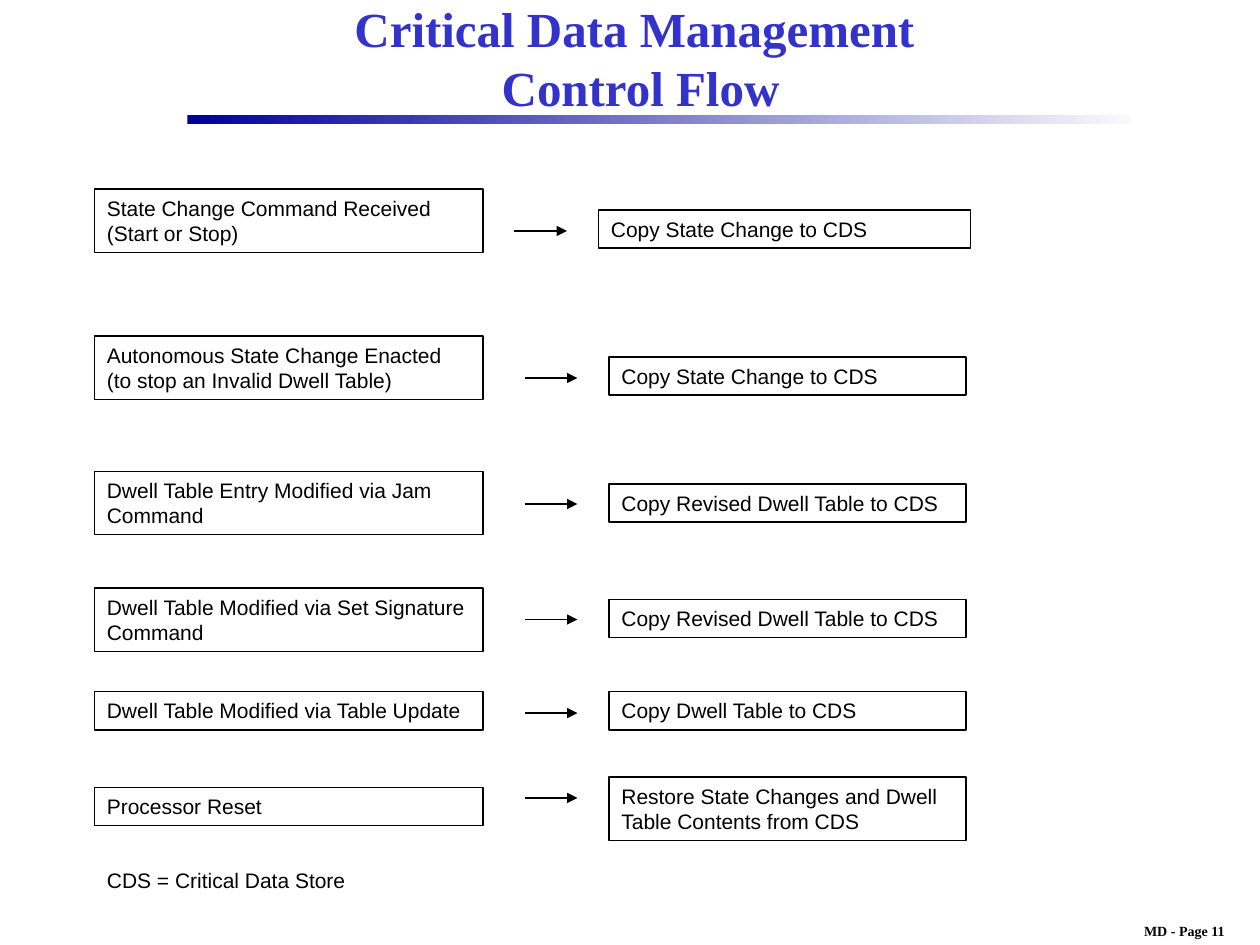
import pptx
import pptx.util
import pptx.dml.color
import pptx.enum.shapes
import pptx.enum.text
import lxml.etree

Pt = pptx.util.Pt
RGB = pptx.dml.color.RGBColor
Align = pptx.enum.text.PP_ALIGN
Anchor = pptx.enum.text.MSO_ANCHOR
Fit = pptx.enum.text.MSO_AUTO_SIZE
Shape = pptx.enum.shapes.MSO_SHAPE
Link = pptx.enum.shapes.MSO_CONNECTOR

BLACK = RGB(0x00, 0x00, 0x00)
BLUE = RGB(0x33, 0x33, 0xCC)
NAVY = RGB(0x00, 0x00, 0x99)
PALE = RGB(0xF9, 0xF9, 0xFD)
DML = "{http://schemas.openxmlformats.org/drawingml/2006/main}"


def write(frame, text, font="Arial", size=12, color=BLACK, bold=False,
          align=Align.LEFT, anchor=Anchor.TOP, before=0, wrap=True,
          fit=Fit.SHAPE_TO_FIT_TEXT):
    frame.word_wrap = wrap
    frame.auto_size = fit
    frame.vertical_anchor = anchor
    para = frame.paragraphs[0]
    para.text = text
    para.alignment = align
    para.space_before = Pt(before)
    for run in para.runs:
        run.font.name = font
        run.font.size = Pt(size)
        run.font.bold = bold
        run.font.color.rgb = color


class Page:
    serif = "Times New Roman"
    line = 0.75
    gap = 7.5

    def __init__(self, slide):
        self.shapes = slide.shapes

    def text(self, x, y, w, h, text, **form):
        box = self.shapes.add_textbox(Pt(x), Pt(y), Pt(w), Pt(h))
        write(box.text_frame, text, **form)

    def rect(self, x, y, w, h):
        rect = self.shapes.add_shape(Shape.RECTANGLE, Pt(x), Pt(y), Pt(w), Pt(h))
        rect.shadow.inherit = False
        return rect

    def bar(self, x, y, w, h):
        bar = self.rect(x, y, w, h)
        bar.line.fill.background()
        bar.fill.gradient()
        bar.fill.gradient_angle = 0
        for stop, color in zip(bar.fill.gradient_stops, (NAVY, PALE)):
            stop.color.rgb = color

    def step(self, x, y, w, h, text):
        box = self.rect(x, y, w, h)
        box.fill.background()
        box.line.color.rgb = BLACK
        box.line.width = Pt(self.line)
        write(box.text_frame, text, before=self.gap)

    def arrow(self, x, y, w):
        arrow = self.shapes.add_connector(Link.STRAIGHT, Pt(x), Pt(y), Pt(x + w), Pt(y))
        arrow.line.color.rgb = BLACK
        arrow.line.width = Pt(self.line)
        line = arrow.line._get_or_add_ln()
        lxml.etree.SubElement(line, DML + "tailEnd", type="triangle")
        lxml.etree.SubElement(arrow._element.spPr, DML + "effectLst")


ONE, TWO = 21.8, 36.2  # heights of boxes with one and two lines
LEFT, WIDE = 54, 222

# Event: top, height, text; arrow: x, y; action: x, top, width, height, text
FLOW = [
    ((108, TWO, "State Change Command Received (Start or Stop)"),
     (294, 132), (342, 120, 212.4, ONE, "Copy State Change to CDS")),
    ((192, TWO, "Autonomous State Change Enacted (to stop an Invalid Dwell Table)"),
     (300, 216), (348, 204, 204, ONE, "Copy State Change to CDS")),
    ((269.3, TWO, "Dwell Table Entry Modified via Jam Command"),
     (300, 288), (348, 276.5, 204, ONE, "Copy Revised Dwell Table to CDS")),
    ((336, TWO, "Dwell Table Modified via Set Signature Command"),
     (300, 354), (348, 342.5, 204, ONE, "Copy Revised Dwell Table to CDS")),
    ((395.3, ONE, "Dwell Table Modified via Table Update"),
     (300, 407.5), (348, 395.3, 204, ONE, "Copy Dwell Table to CDS")),
    ((450, ONE, "Processor Reset"),
     (300, 456), (348, 444, 204, TWO,
                  "Restore State Changes and Dwell Table Contents from CDS")),
]


def main():
    deck = pptx.Presentation()
    deck.slide_width, deck.slide_height = Pt(720), Pt(540)
    page = Page(deck.slides.add_slide(deck.slide_layouts[6]))

    # Page number, rule and title
    page.text(632.2, 523.4, 89.3, 16.6, "MD - Page 11", font=page.serif, size=8,
              bold=True, align=Align.CENTER, wrap=False)
    page.bar(107, 66, 539, 5)
    page.text(108, 6, 516, 54, "Critical Data Management \vControl Flow",
              font=page.serif, size=28, color=BLUE, bold=True,
              align=Align.CENTER, anchor=Anchor.MIDDLE, fit=Fit.NONE)

    # Each event leads to an action
    for (top, high, event), (x, y), action in FLOW:
        page.step(LEFT, top, WIDE, high, event)
        page.arrow(x, y, 30)
        page.step(*action)

    # Key
    page.text(LEFT, 492, 212.4, ONE, "CDS = Critical Data Store", before=page.gap)

    deck.save("out.pptx")


if __name__ == "__main__":
    main()
